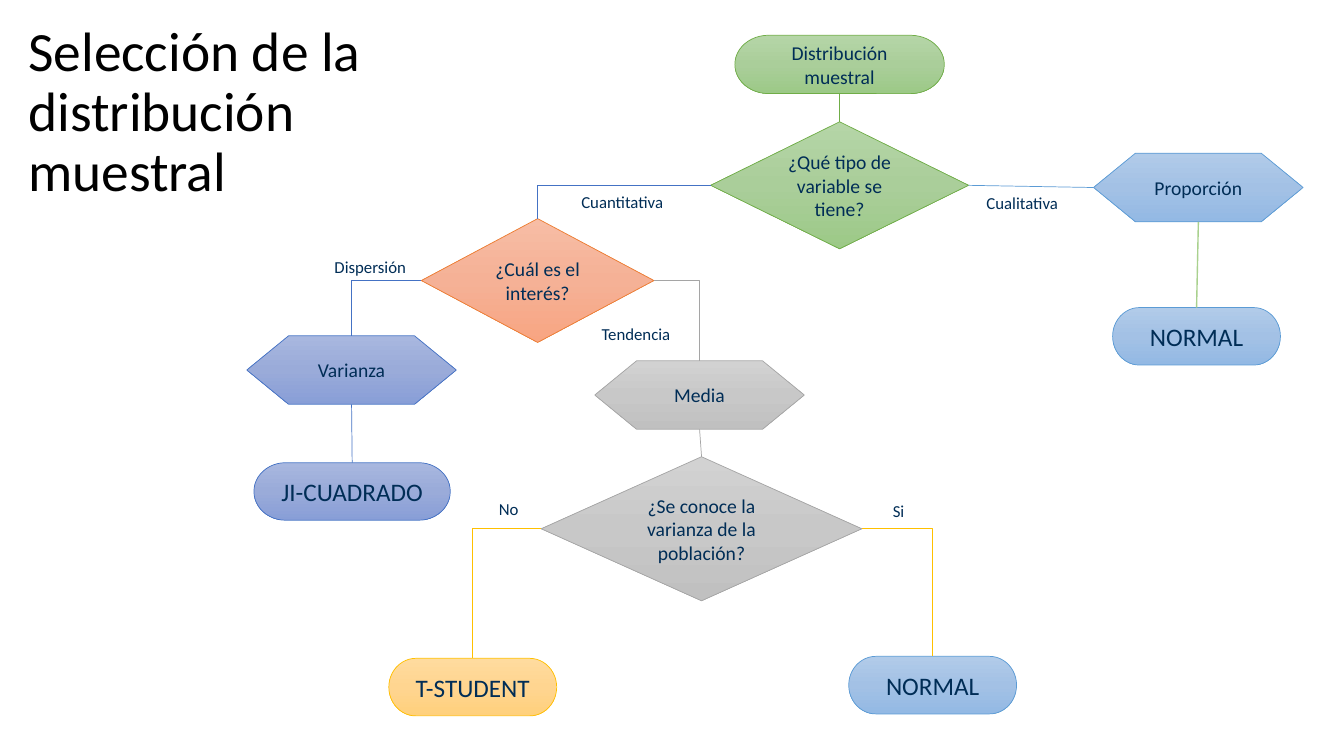
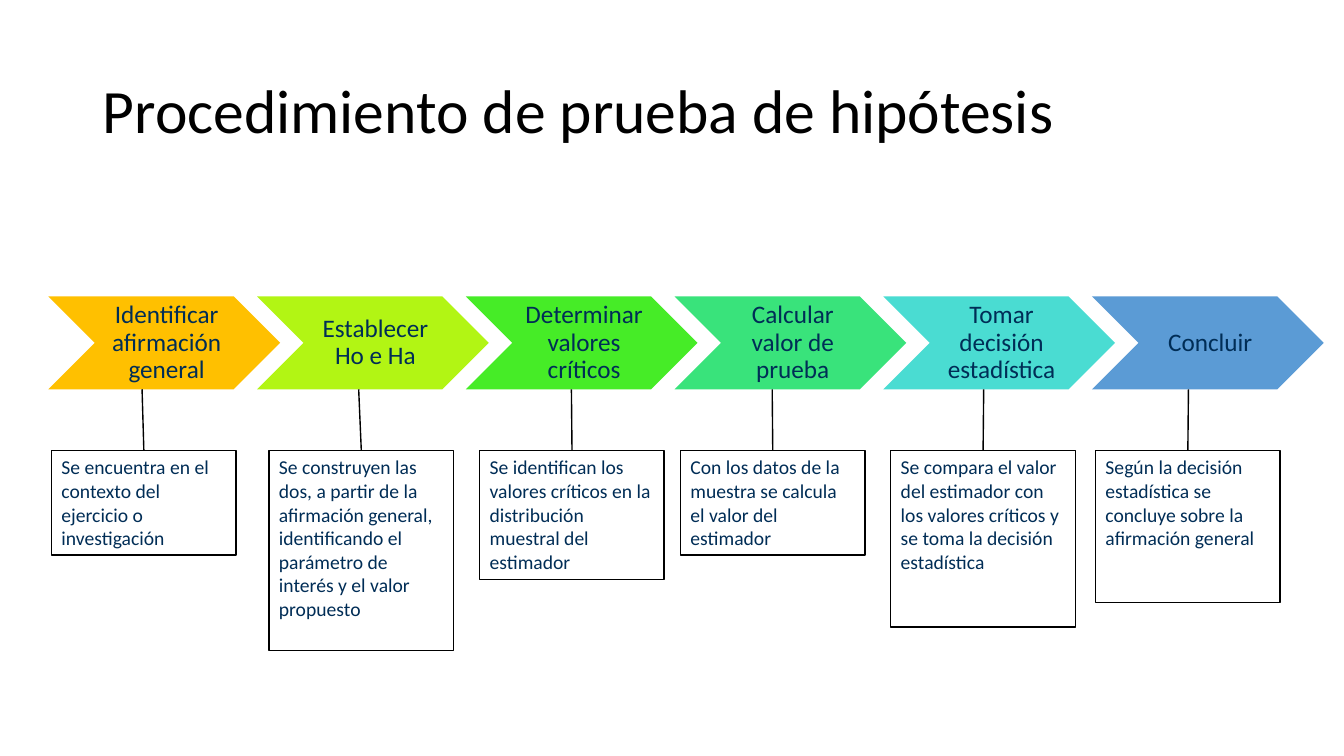
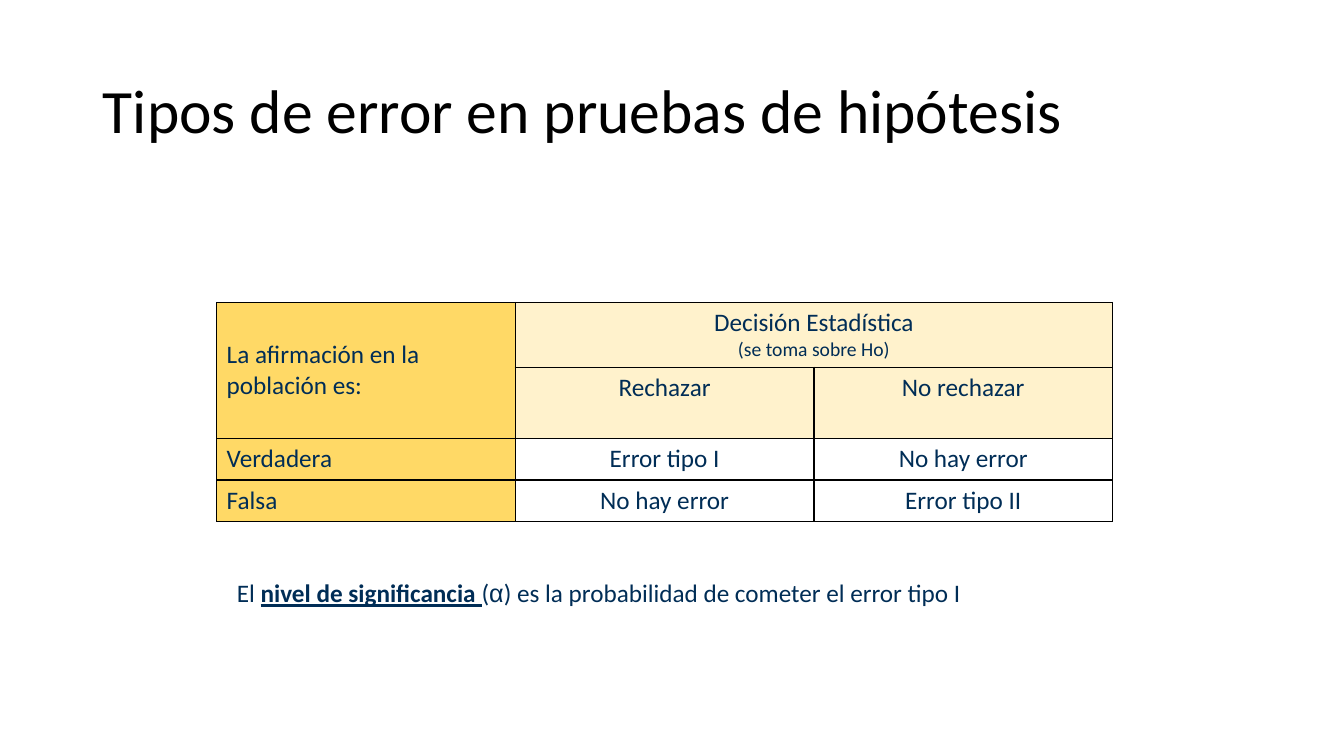
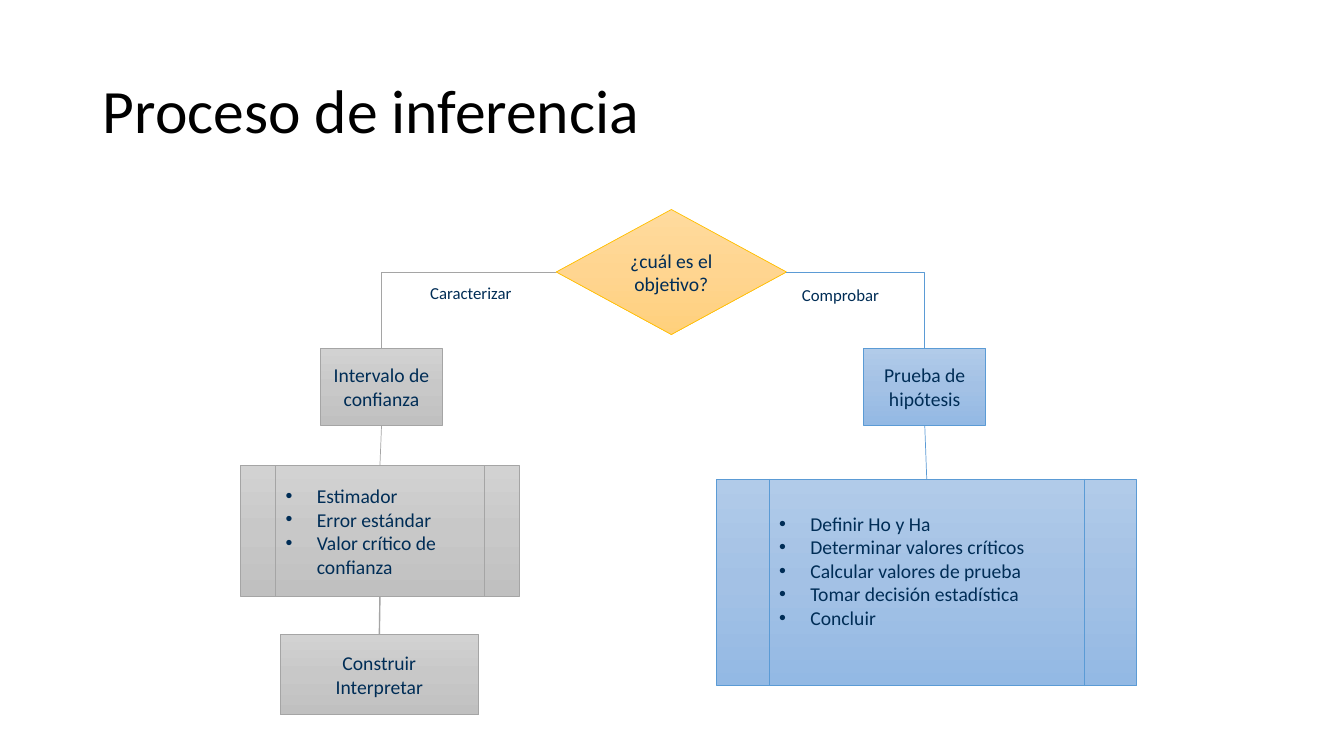
from copy import deepcopy

from lxml.etree import SubElement
from pptx import Presentation
from pptx.dml.color import RGBColor
from pptx.enum.shapes import MSO_CONNECTOR, MSO_SHAPE
from pptx.enum.text import MSO_ANCHOR, MSO_AUTO_SIZE, PP_ALIGN
from pptx.oxml.ns import qn
from pptx.util import Cm, Pt

FONT = "Calibri"
INK = "002D56"
BLACK = "000000"
TITLE_BOX = (2.34, 1.02, 29.21, 3.68)
TOP, LEFT, BOTTOM, RIGHT = range(4)

# Outline colour and the three gradient stops, from top to bottom
GREEN = ("70AD47", "B5D5A7", "AACE9A", "9CC987")
ORANGE = ("ED7D31", "F7BDA5", "F5B196", "F8A582")
GRAY = ("A5A5A5", "D2D2D2", "C8C8C8", "C0C0C0")
SKY = ("5B9BD5", "B1CBE9", "A3C1E5", "93B9E4")
BLUE = ("4472C4", "A8B7DF", "9AABD9", "889ED7")
GOLD = ("FFC000", "FFDB9E", "FFD590", "FFD07C")

TERMINATOR = MSO_SHAPE.FLOWCHART_TERMINATOR
DECISION = MSO_SHAPE.FLOWCHART_DECISION
PREPARATION = MSO_SHAPE.FLOWCHART_PREPARATION
PROCESS = MSO_SHAPE.FLOWCHART_PROCESS
SUBPROCESS = MSO_SHAPE.FLOWCHART_PREDEFINED_PROCESS


def rgb(color):
    return RGBColor.from_string(color)


def cm(box):
    return [Cm(v) for v in box]


def style_font(font, size, color=INK, name=FONT):
    font.name = name
    font.size = Pt(size)
    font.color.rgb = rgb(color)


def set_text(tf, text, size, align=PP_ALIGN.LEFT, color=INK, spacing=None):
    """Write text, one paragraph a line, in a single format."""
    tf.text = text
    for p in tf.paragraphs:
        p.alignment = align
        p.line_spacing = spacing
        for r in p.runs:
            style_font(r.font, size, color)


def add_slide(prs, title, box=TITLE_BOX, size=44):
    slide = prs.slides.add_slide(prs.slide_layouts[5])
    sp = slide.shapes.title
    sp.left, sp.top, sp.width, sp.height = cm(box)
    tf = sp.text_frame
    tf.auto_size = MSO_AUTO_SIZE.NONE
    tf.vertical_anchor = MSO_ANCHOR.MIDDLE
    set_text(tf, title, size, color=BLACK, spacing=0.9)
    return slide


def add_box(slide, kind, box, text, size=14, align=PP_ALIGN.CENTER,
            anchor=MSO_ANCHOR.MIDDLE, spacing=None):
    """Add a preset shape with text and no shadow."""
    sp = slide.shapes.add_shape(kind, *cm(box))
    sp.shadow.inherit = False
    tf = sp.text_frame
    tf.word_wrap = True
    tf.vertical_anchor = anchor
    set_text(tf, text, size, align, spacing=spacing)
    return sp


def add_node(slide, kind, text, box, palette, size=14, align=PP_ALIGN.CENTER):
    """Add a flowchart node with a vertical gradient."""
    sp = add_box(slide, kind, box, text, size, align)
    outline, *colors = palette
    sp.line.color.rgb = rgb(outline)
    sp.line.width = Pt(0.5)
    sp.fill.gradient()
    sp.fill.gradient_angle = 270
    stops = sp._element.spPr.find(".//" + qn("a:gsLst"))
    stops.insert(1, deepcopy(stops[0]))
    for i, (stop, color) in enumerate(zip(sp.fill.gradient_stops, colors)):
        stop.position = i / 2
        stop.color.rgb = rgb(color)
    return sp


def add_list_node(slide, text, box, palette):
    sp = add_node(slide, SUBPROCESS, "", box, palette)
    tf = sp.text_frame
    tf.text = text
    for p in tf.paragraphs:
        p.alignment = PP_ALIGN.LEFT
        pPr = p._p.get_or_add_pPr()
        pPr.set("marL", str(Cm(0.79)))
        pPr.set("indent", str(-Cm(0.79)))
        SubElement(pPr, qn("a:buFont")).set("typeface", "Arial")
        SubElement(pPr, qn("a:buChar")).set("char", "•")
        for r in p.runs:
            style_font(r.font, 14)
    return sp


def add_line(slide, color, width, kind=MSO_CONNECTOR.STRAIGHT, ends=(0, 0, 0, 0)):
    cxn = slide.shapes.add_connector(kind, *cm(ends))
    cxn.line.color.rgb = rgb(color)
    cxn.line.width = Pt(width)
    SubElement(cxn._element.spPr, qn("a:effectLst"))
    return cxn


def link(slide, a, a_side, b, b_side, color, width=0.5):
    """Join two nodes, with one bend where a side meets a top."""
    bent = a_side % 2 != b_side % 2
    kind = MSO_CONNECTOR.ELBOW if bent else MSO_CONNECTOR.STRAIGHT
    cxn = add_line(slide, color, width, kind)
    cxn.begin_connect(a, a_side)
    cxn.end_connect(b, b_side)
    if bent:
        cxn._element.spPr.find(qn("a:prstGeom")).set("prst", "bentConnector2")


def add_label(slide, text, left, top, width, height=0.76, size=12):
    sp = slide.shapes.add_textbox(*cm((left, top, width, height)))
    tf = sp.text_frame
    tf.word_wrap = False
    tf.auto_size = MSO_AUTO_SIZE.SHAPE_TO_FIT_TEXT
    set_text(tf, text, size)
    return sp


def set_borders(cell, color):
    tcPr = cell._tc.get_or_add_tcPr()
    for side in ("L", "R", "T", "B"):
        ln = SubElement(tcPr, qn("a:ln" + side), w=str(Pt(1)))
        fill = SubElement(ln, qn("a:solidFill"))
        SubElement(fill, qn("a:srgbClr"), val=color)


def build_distribution_chart(prs):
    s = add_slide(prs, "Selección de la distribución muestral",
                  (0.46, 0.51, 12.2, 4.7), 39.6)
    start = add_node(s, TERMINATOR, "Distribución muestral",
                     (18.52, 0.89, 5.28, 1.47), GREEN)
    variable = add_node(s, DECISION, "¿Qué tipo de variable se tiene?",
                        (17.91, 3.07, 6.5, 3.2), GREEN)
    interest = add_node(s, DECISION, "¿Cuál es el interés?",
                        (10.62, 5.51, 5.86, 3.12), ORANGE)
    known = add_node(s, DECISION, "¿Se conoce la varianza de la población?",
                     (13.64, 11.51, 8.08, 3.63), GRAY)
    proportion, variance, mean = [
        add_node(s, PREPARATION, text, (left, top, 5.28, 1.73), palette)
        for text, left, top, palette in (
            ("Proporción", 27.56, 3.86, SKY),
            ("Varianza", 6.22, 8.46, BLUE),
            ("Media", 14.99, 9.09, GRAY))]
    normal, chi, student, normal_prop = [
        add_node(s, TERMINATOR, text, (left, top, width, 1.45), palette, 18)
        for text, left, top, width, palette in (
            ("NORMAL", 21.39, 16.54, 4.23, SKY),
            ("JI-CUADRADO", 6.4, 11.66, 4.95, BLUE),
            ("T-STUDENT", 9.8, 16.59, 4.23, GOLD),
            ("NORMAL", 28.04, 7.75, 4.23, SKY))]
    for args in (
            (start, BOTTOM, variable, TOP, GREEN[0]),
            (variable, LEFT, interest, TOP, BLUE[0], 1),
            (variable, RIGHT, proportion, LEFT, SKY[0]),
            (interest, LEFT, variance, TOP, BLUE[0]),
            (variance, BOTTOM, chi, TOP, BLUE[0]),
            (interest, RIGHT, mean, TOP, GRAY[0]),
            (mean, BOTTOM, known, TOP, GRAY[0]),
            (known, RIGHT, normal, TOP, GOLD[0]),
            (known, LEFT, student, TOP, GOLD[0]),
            (proportion, BOTTOM, normal_prop, TOP, "A9D18E", 1)):
        link(s, *args)
    for args in (
            ("Cualitativa", 24.61, 4.72, 2.77),
            ("Cuantitativa", 14.4, 4.7, 3.1),
            ("Dispersión", 8.18, 6.35, 2.57),
            ("Tendencia", 14.91, 8.03, 2.69),
            ("Si", 22.25, 12.5, 0.81),
            ("No", 12.32, 12.45, 1.12)):
        add_label(s, *args)


def build_procedure(prs):
    s = add_slide(prs, "Procedimiento de prueba de hipótesis")
    top, height = 7.47, 2.34
    # Colour, step, explanation, left and height of its box, x of the line's top
    steps = (
        ("FFC000", "Identificar afirmación general",
         "Se encuentra en el contexto del ejercicio o investigación",
         1.3, 2.64, 3.58),
        ("B2F514", "Establecer Ho e Ha",
         "Se construyen las dos, a partir de la afirmación general, "
         "identificando el parámetro de interés y el valor propuesto",
         6.78, 5.05, 9.04),
        ("46EC27", "Determinar valores críticos",
         "Se identifican los valores críticos en la distribución muestral "
         "del estimador", 12.09, 3.25, 14.4),
        ("39E37B", "Calcular valor de prueba",
         "Con los datos de la muestra se calcula el valor del estimador",
         17.15, 2.64, 19.46),
        ("4ADCD2", "Tomar decisión estadística",
         "Se compara el valor del estimador con los valores críticos y se "
         "toma la decisión estadística", 22.45, 4.45, 24.79),
        ("5B9BD5", "Concluir",
         "Según la decisión estadística se concluye sobre la afirmación "
         "general", 27.61, 3.84, 29.95))
    for i, (color, step, detail, left, box_height, line_x) in enumerate(steps):
        sp = add_box(s, MSO_SHAPE.CHEVRON, (1.22 + 5.26 * i, top, 5.84, height),
                     step, 18, spacing=0.9)
        sp.fill.solid()
        sp.fill.fore_color.rgb = rgb(color)
        sp.line.fill.background()
        tf = sp.text_frame
        tf.margin_left = Cm(0.2)
        tf.margin_top = tf.margin_right = tf.margin_bottom = Cm(0.08)

        note = add_box(s, MSO_SHAPE.RECTANGLE, (left, 11.35, 4.65, box_height),
                       detail, align=PP_ALIGN.LEFT, anchor=MSO_ANCHOR.TOP)
        note.fill.solid()
        note.fill.fore_color.rgb = rgb("FFFFFF")
        note.line.color.rgb = rgb(BLACK)
        note.line.width = Pt(1)
        bottom = top + height
        cxn = add_line(s, BLACK, 1, ends=(line_x, bottom, line_x, bottom))
        cxn.begin_connect(note, TOP)


def build_error_types(prs):
    s = add_slide(prs, "Tipos de error en pruebas de hipótesis")
    rows = (
        ("La afirmación en la población es:",
         "Decisión Estadística\n(se toma sobre Ho)", ""),
        ("", "Rechazar", "No rechazar"),
        ("Verdadera", "Error tipo I", "No hay error"),
        ("Falsa", "No hay error", "Error tipo II"))
    heights = (1.63, 1.8, 1.04, 1.04)
    table = s.shapes.add_table(4, 3, *cm((5.46, 7.62, 22.58, sum(heights)))).table
    table.first_row = table.horz_banding = False
    for row, height in zip(table.rows, heights):
        row.height = Cm(height)
    for i, texts in enumerate(rows):
        for j, text in enumerate(texts):
            cell = table.cell(i, j)
            set_borders(cell, BLACK)
            if j == 0 or i < 2:
                cell.fill.solid()
                cell.fill.fore_color.rgb = rgb("FFF2CC" if j else "FFD966")
            else:
                cell.fill.background()
            set_text(cell.text_frame, text, 18,
                     PP_ALIGN.CENTER if j else PP_ALIGN.LEFT)
    table.cell(0, 0).merge(table.cell(1, 0))
    table.cell(0, 0).vertical_anchor = MSO_ANCHOR.MIDDLE
    table.cell(0, 1).merge(table.cell(0, 2))
    table.cell(0, 1).text_frame.paragraphs[1].runs[0].font.size = Pt(14)

    p = add_label(s, "El ", 5.72, 14.43, 22.5, 1.02, 18).text_frame.paragraphs[0]
    for text, strong, name in (
            ("nivel de significancia ", True, FONT),
            ("(", False, FONT),
            ("α", False, "Arial"),
            (") es la probabilidad de cometer el error tipo I", False, FONT)):
        r = p.add_run()
        r.text = text
        style_font(r.font, 18, name=name)
        r.font.bold = r.font.underline = strong


def build_inference_chart(prs):
    s = add_slide(prs, "Proceso de inferencia")
    goal = add_node(s, DECISION, "¿cuál es el objetivo?",
                    (14.02, 5.28, 5.8, 3.15), GOLD)
    interval = add_node(s, PROCESS, "Intervalo de confianza",
                        (8.08, 8.77, 3.07, 1.95), GRAY)
    test = add_node(s, PROCESS, "Prueba de hipótesis",
                    (21.77, 8.77, 3.07, 1.95), SKY)
    interval_steps = add_list_node(
        s, "Estimador\nError estándar\nValor crítico de confianza",
        (6.07, 11.73, 7.01, 3.3), GRAY)
    test_steps = add_list_node(
        s, "Definir Ho y Ha\nDeterminar valores críticos\n"
        "Calcular valores de prueba\nTomar decisión estadística\nConcluir",
        (18.06, 12.07, 10.59, 5.21), SKY)
    test_steps.text_frame.margin_bottom = Cm(0.73)
    result = add_node(s, PROCESS, "Construir\nInterpretar",
                      (7.06, 15.98, 5, 2.03), GRAY)
    for args in (
            (goal, LEFT, interval, TOP, GRAY[0]),
            (goal, RIGHT, test, TOP, SKY[0]),
            (interval, BOTTOM, interval_steps, TOP, GRAY[0]),
            (test, BOTTOM, test_steps, TOP, SKY[0]),
            (interval_steps, BOTTOM, result, TOP, GRAY[0], 1)):
        link(s, *args)
    add_label(s, "Caracterizar", 10.59, 7.01, 3.12)
    add_label(s, "Comprobar", 19.96, 7.06, 2.97)


def main():
    prs = Presentation()
    prs.slide_width, prs.slide_height = Cm(33.87), Cm(19.05)
    build_distribution_chart(prs)
    build_procedure(prs)
    build_error_types(prs)
    build_inference_chart(prs)
    prs.save("out.pptx")


if __name__ == "__main__":
    main()
